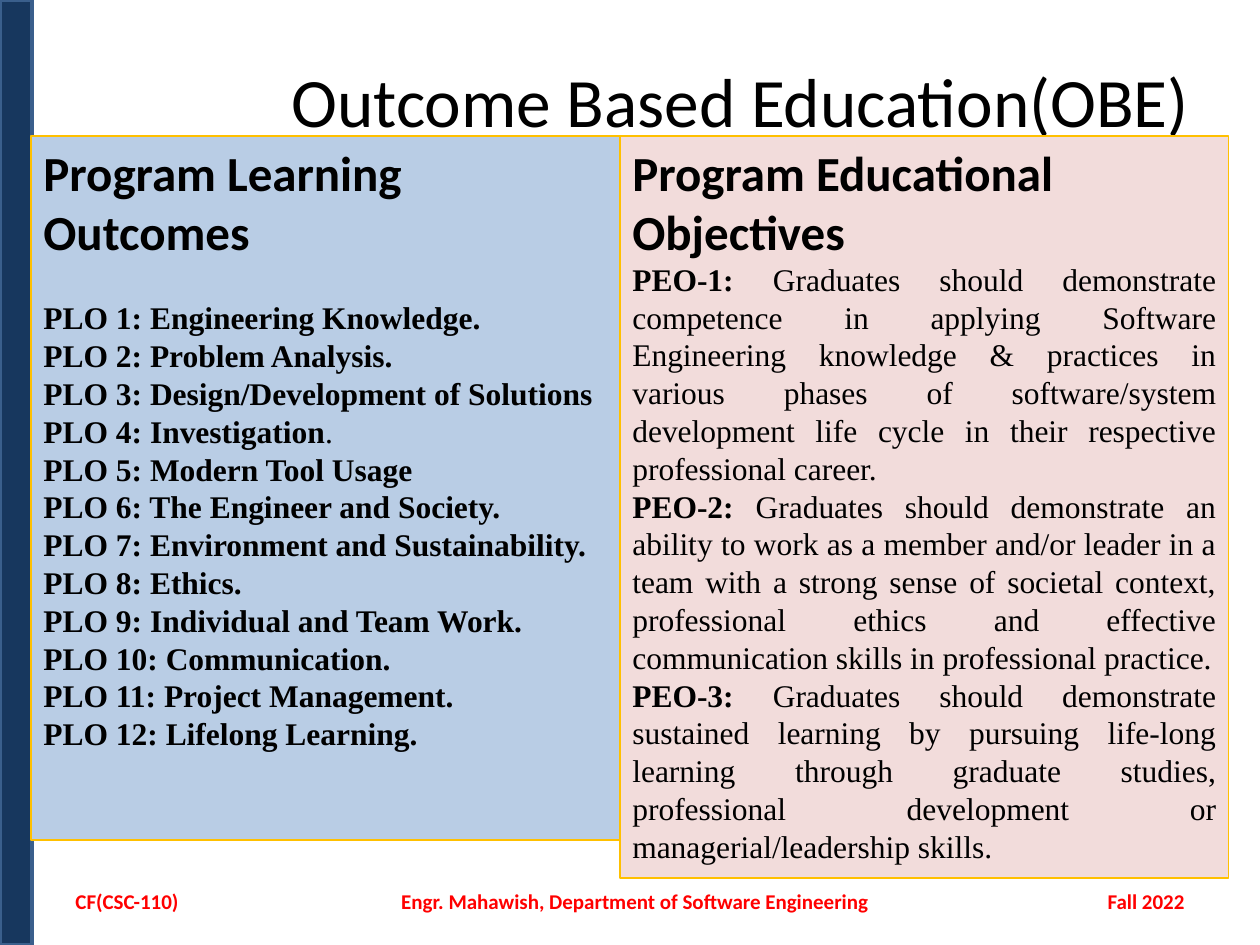
from pptx import Presentation
from pptx.dml.color import RGBColor
from pptx.enum.shapes import MSO_SHAPE
from pptx.enum.text import MSO_ANCHOR, PP_ALIGN
from pptx.util import Pt

PX = 7257
RECT = MSO_SHAPE.RECTANGLE
TOP, MIDDLE = MSO_ANCHOR.TOP, MSO_ANCHOR.MIDDLE
LEFT, CENTER, RIGHT, JUSTIFY = PP_ALIGN.LEFT, PP_ALIGN.CENTER, PP_ALIGN.RIGHT, PP_ALIGN.JUSTIFY

BLACK = RGBColor(0x00, 0x00, 0x00)
RED = RGBColor(0xFF, 0x00, 0x00)
NAVY = RGBColor(0x17, 0x37, 0x5E)
STEEL = RGBColor(0x3A, 0x5F, 0x8C)
GOLD = RGBColor(0xFF, 0xC0, 0x00)
PALE_BLUE = RGBColor(0xB9, 0xCD, 0xE5)
PALE_PINK = RGBColor(0xF2, 0xDC, 0xDB)

TITLE = {"name": "Calibri", "size": Pt(39.6), "bold": False}
HEADING = {"name": "Calibri", "size": Pt(28), "bold": True}
FOOTER = {"name": "Calibri", "size": Pt(12), "bold": True}
STRONG = {"name": "Times New Roman", "size": Pt(18), "bold": True}
BODY = {**STRONG, "bold": False}

OUTCOMES = [
    ("PLO 1: Engineering Knowledge.", ""),
    ("PLO 2: Problem Analysis.", ""),
    ("PLO 3: Design/Development of Solutions", ""),
    ("PLO 4: Investigation", "."),
    ("PLO 5: Modern Tool Usage", ""),
    ("PLO 6: The Engineer and Society.", ""),
    ("PLO 7: Environment and Sustainability.", ""),
    ("PLO 8: Ethics.", ""),
    ("PLO 9: Individual and Team Work.", ""),
    ("PLO 10: Communication.", ""),
    ("PLO 11: Project Management.", ""),
    ("PLO 12: Lifelong Learning.", ""),
]
OBJECTIVES = [
    ("PEO-1: ", "Graduates should demonstrate competence in applying Software Engineering "
     "knowledge & practices in various phases of software/system development life cycle "
     "in their respective professional career."),
    ("PEO-2:", " Graduates should demonstrate an ability to work as a member and/or leader "
     "in a team with a strong sense of societal context, professional ethics and effective "
     "communication skills in professional practice."),
    ("PEO-3:", " Graduates should demonstrate sustained learning by pursuing life-long "
     "learning through graduate studies, professional development or "
     "managerial/leadership skills."),
]


def scale(box):
    return [v * PX for v in box]


def add_run(p, text, fmt, color=BLACK):
    r = p.add_run()
    r.text = text
    for key, value in fmt.items():
        setattr(r.font, key, value)
    r.font.color.rgb = color


def add_rect(s, box, fill, line, width):
    sp = s.shapes.add_shape(RECT, *scale(box))
    sp.shadow.inherit = False
    sp.fill.solid()
    sp.fill.fore_color.rgb = fill
    sp.line.color.rgb = line
    sp.line.width = Pt(width)
    return sp


def add_label(s, box, text, fmt, color, align):
    tf = s.shapes.add_textbox(*scale(box)).text_frame
    tf.word_wrap = True
    tf.vertical_anchor = MIDDLE
    p = tf.paragraphs[0]
    p.alignment = align
    add_run(p, text, fmt, color)


def add_panel(s, box, fill, heading, items, gap):
    tf = add_rect(s, box, fill, GOLD, 0.75).text_frame
    tf.word_wrap = True
    tf.vertical_anchor = TOP
    p = tf.paragraphs[0]
    p.alignment = LEFT
    add_run(p, heading, HEADING)
    for i, (strong, plain) in enumerate(items):
        p = tf.add_paragraph()
        p.alignment = JUSTIFY
        if i == 0:
            p.space_before = Pt(gap)
        add_run(p, strong, STRONG)
        if plain:
            add_run(p, plain, BODY)


def add_footer(s, x, y, w, h):
    labels = [
        (0, 294, "CF(CSC-110)", LEFT),
        (304, 536, "Engr. Mahawish, Department of Software Engineering", CENTER),
        (w - 294, 294, "Fall 2022", RIGHT),
    ]
    for dx, width, text, align in labels:
        add_label(s, (x + dx, y, width, h), text, FOOTER, RED, align)


def main():
    prs = Presentation()
    prs.slide_width, prs.slide_height = scale((1260, 945))
    s = prs.slides.add_slide(prs.slide_layouts[6])
    add_rect(s, (0, 0, 32, 945), NAVY, STEEL, 2)
    add_label(s, (273, 21, 935, 158), "Outcome Based Education(OBE)", TITLE, BLACK, CENTER)
    add_footer(s, 63, 876, 1134, 50)
    add_panel(s, (31, 136, 599, 704), PALE_BLUE, "Program Learning Outcomes", OUTCOMES, 22)
    add_panel(s, (620, 136, 609, 742), PALE_PINK, "Program Educational Objectives", OBJECTIVES, 0)
    prs.save("out.pptx")


if __name__ == "__main__":
    main()
